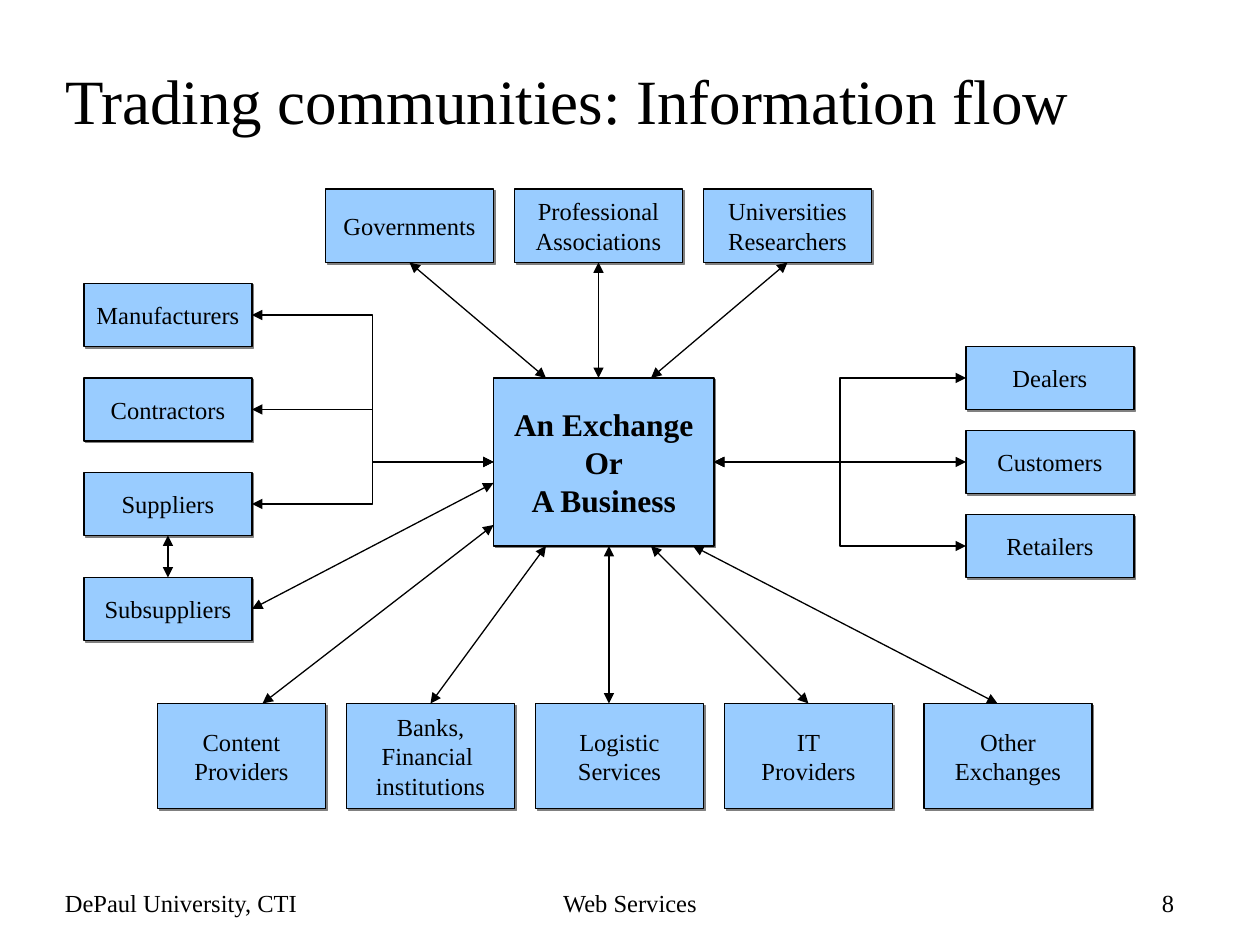
from lxml import etree
from pptx import Presentation
from pptx.dml.color import RGBColor
from pptx.enum.shapes import MSO_CONNECTOR, MSO_SHAPE
from pptx.enum.text import MSO_ANCHOR, MSO_AUTO_SIZE, PP_ALIGN
from pptx.oxml.ns import qn
from pptx.util import Pt

PX = 7620  # 120 px to the inch
FONT = "Times New Roman"
COLORS = {"ink": "000000", "box": "99CCFF", "shadow": "808080"}
INK = RGBColor.from_string(COLORS["ink"])
LEFT, CENTER, RIGHT = PP_ALIGN.LEFT, PP_ALIGN.CENTER, PP_ALIGN.RIGHT
MIDDLE = MSO_ANCHOR.MIDDLE
STRAIGHT, ELBOW = MSO_CONNECTOR.STRAIGHT, MSO_CONNECTOR.ELBOW
TOP_SIDE, LEFT_SIDE, BOTTOM_SIDE, RIGHT_SIDE = range(4)

prs = Presentation()
prs.slide_width, prs.slide_height = 1200 * PX, 900 * PX
s = prs.slides.add_slide(prs.slide_layouts[5])


def write(sp, text, size, align, bold=False):
    tf = sp.text_frame
    tf.text = text
    for p in tf.paragraphs:
        p.alignment = align
        for r in p.runs:
            r.font.name, r.font.size, r.font.bold = FONT, Pt(size), bold
            r.font.color.rgb = INK
    return tf


def connect(kind, start, end):
    """Join two ends, each a (box name, side) pair or an (x, y) point."""
    cx = s.shapes.add_connector(kind, 0, 0, 0, 0)
    if start[0] in boxes:
        cx.begin_connect(boxes[start[0]], start[1])
    else:
        cx.begin_x, cx.begin_y = start[0] * PX, start[1] * PX
    if end[0] in boxes:
        cx.end_connect(boxes[end[0]], end[1])
    else:
        cx.end_x, cx.end_y = end[0] * PX, end[1] * PX
    cx.line.width = Pt(0.75)
    cx.line.color.rgb = INK
    ln = cx.line._get_or_add_ln()
    for tag in ("a:headEnd", "a:tailEnd"):
        etree.SubElement(ln, qn(tag), type="triangle")
    etree.SubElement(cx._element.spPr, qn("a:effectLst"))


# Title
title = s.shapes.title
title.left, title.top, title.width, title.height = 50 * PX, 40 * PX, 1080 * PX, 110 * PX
tf = write(title, "Trading communities: Information flow", 36, LEFT)
tf.vertical_anchor, tf.auto_size = MIDDLE, MSO_AUTO_SIZE.NONE

# Boxes: the hub, then rows and columns of partners
providers = ["Content\nProviders", "Banks,\nFinancial \ninstitutions",
             "Logistic\nServices", "IT\nProviders"]
layout = [("An Exchange\nOr\nA Business", 470, 360, 210, 160)]
layout += [(name, 150 + 180 * i, 670, 160, 100) for i, name in enumerate(providers)]
layout += [("Other\nExchanges", 880, 670, 160, 100)]
sellers = ["Dealers", "Customers", "Retailers"]
layout += [(name, 920, 330 + 80 * i, 160, 60) for i, name in enumerate(sellers)]
makers = ["Manufacturers", "Contractors", "Suppliers"]
layout += [(name, 80, 270 + 90 * i, 160, 60) for i, name in enumerate(makers)]
layout += [("Subsuppliers", 80, 550, 160, 60)]
bodies = ["Governments", "Professional\nAssociations", "Universities\nResearchers"]
layout += [(name, 310 + 180 * i, 180, 160, 70) for i, name in enumerate(bodies)]

HUB = layout[0][0]
boxes = {}
for name, x, y, w, h in layout:
    sp = s.shapes.add_shape(MSO_SHAPE.RECTANGLE, x * PX, y * PX, w * PX, h * PX)
    sp.fill.solid()
    sp.fill.fore_color.rgb = RGBColor.from_string(COLORS["box"])
    sp.line.color.rgb = INK
    sp.line.width = Pt(0.75)
    sp.shadow.inherit = False
    effects = sp._element.spPr.find(qn("a:effectLst"))
    shadow = etree.SubElement(effects, qn("a:outerShdw"), dist=str(Pt(1.4)),
                              dir="2700000", algn="ctr", rotWithShape="0")
    etree.SubElement(shadow, qn("a:srgbClr"), val=COLORS["shadow"])
    tf = write(sp, name, 18 if name == HUB else 14, CENTER, name == HUB)
    tf.word_wrap, tf.vertical_anchor = False, MIDDLE
    boxes[name] = sp

# Elbow links to the left and right columns
for name in makers:
    connect(ELBOW, (name, RIGHT_SIDE), (HUB, LEFT_SIDE))
for name in sellers:
    kind = STRAIGHT if name == "Customers" else ELBOW
    connect(kind, (HUB, RIGHT_SIDE), (name, LEFT_SIDE))

# Straight links
connect(STRAIGHT, ("Subsuppliers", TOP_SIDE), ("Suppliers", BOTTOM_SIDE))
connect(STRAIGHT, ("Subsuppliers", RIGHT_SIDE), (470, 460))
for name, x in zip(bodies, (520, 570, 620)):
    connect(STRAIGHT, (x, 360), (name, BOTTOM_SIDE))
for start, end in [
    ((250, 670), (470, 500)),
    ((providers[1], TOP_SIDE), (520, 520)),
    ((580, 670), (580, 520)),
    ((providers[3], TOP_SIDE), (620, 520)),
    ((950, 670), (660, 520)),
]:
    connect(STRAIGHT, start, end)

# Footer
for text, x, w, align in [
    ("Web Services", 410, 380, CENTER),
    ("8", 860, 270, RIGHT),
    ("DePaul University, CTI", 50, 290, LEFT),
]:
    tb = s.shapes.add_textbox(x * PX, 840 * PX, w * PX, 40 * PX)
    write(tb, text, 14, align).word_wrap = True

prs.save("out.pptx")
